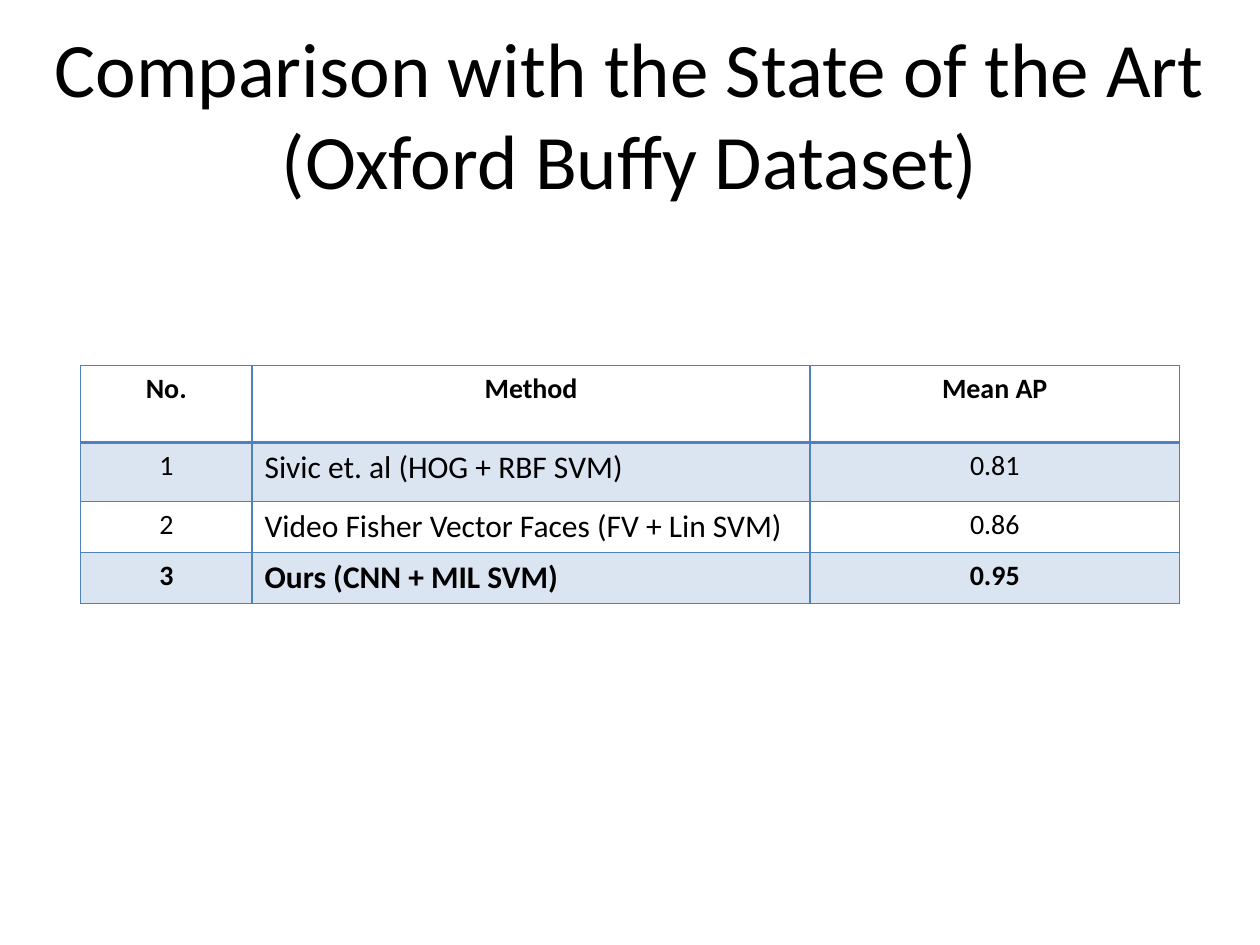
import lxml.etree
import pptx
import pptx.dml.color
import pptx.enum.text
import pptx.oxml.ns
import pptx.util

Inches = pptx.util.Inches
RGBColor = pptx.dml.color.RGBColor
ALIGN = pptx.enum.text.PP_ALIGN
ANCHOR = pptx.enum.text.MSO_ANCHOR
qn = pptx.oxml.ns.qn

BLACK = RGBColor(0x00, 0x00, 0x00)
BLUE = RGBColor(0x4F, 0x81, 0xBD)
FONT = "Calibri"

COLUMNS = [1.36, 4.43, 2.93]
ROW_HEIGHTS = [0.61, 0.47, 0.4, 0.4]
ROWS = [
    ["No.", "Method", "Mean AP"],
    ["1", "Sivic et. al (HOG + RBF SVM)", "0.81"],
    ["2", "Video Fisher Vector Faces (FV + Lin SVM)", "0.86"],
    ["3", "Ours (CNN + MIL SVM)", "0.95"],
]


def write_text(tf, text, size=16, bold=False, align=ALIGN.CENTER, color=BLACK):
    """Write one formatted paragraph, with line breaks at newlines."""
    p = tf.paragraphs[0]
    p.alignment = align
    for i, line in enumerate(text.split("\n")):
        if i:
            p.add_line_break()
        r = p.add_run()
        r.text = line
        r.font.name = FONT
        r.font.size = pptx.util.Pt(size)
        r.font.bold = bold
        r.font.color.rgb = color


def add_border(cell, side, width):
    """Draw a solid blue border on one side of a cell."""
    ln = lxml.etree.SubElement(cell._tc.get_or_add_tcPr(), qn(f"a:ln{side}"))
    ln.set("w", str(pptx.util.Pt(width)))
    fill = lxml.etree.SubElement(ln, qn("a:solidFill"))
    lxml.etree.SubElement(fill, qn("a:srgbClr")).set("val", str(BLUE))


def fill_cell(cell, banded):
    """Tint a banded cell with translucent blue and leave others clear."""
    if not banded:
        cell.fill.background()
        return
    cell.fill.solid()
    cell.fill.fore_color.rgb = BLUE
    color = cell._tc.tcPr.find(qn("a:solidFill")).find(qn("a:srgbClr"))
    lxml.etree.SubElement(color, qn("a:alpha")).set("val", "20000")


def add_title(s, text):
    """Place and fill the title placeholder."""
    sp = s.shapes.title
    sp.left, sp.top = Inches(0), Inches(0.09)
    sp.width, sp.height = Inches(10), Inches(1.61)
    tf = sp.text_frame
    tf.word_wrap = True
    tf.vertical_anchor = ANCHOR.MIDDLE
    write_text(tf, text, size=44)


def add_results_table(s):
    """Add the table that compares the methods."""
    frame = s.shapes.add_table(
        len(ROWS), len(COLUMNS), Inches(0.64), Inches(2.9),
        Inches(sum(COLUMNS)), Inches(sum(ROW_HEIGHTS)))
    table = frame.table
    table.first_row = table.horz_banding = False
    for column, width in zip(table.columns, COLUMNS):
        column.width = Inches(width)
    for i, (values, height) in enumerate(zip(ROWS, ROW_HEIGHTS)):
        table.rows[i].height = Inches(height)
        for j, value in enumerate(values):
            cell = table.cell(i, j)
            method = i > 0 and j == 1
            write_text(cell.text_frame, value, size=18 if method else 16,
                       bold=i in (0, len(ROWS) - 1),
                       align=ALIGN.LEFT if method else ALIGN.CENTER)
            widths = {"L": 1, "R": 1, "T": 2 if i == 1 else 1,
                      "B": 2 if i == 0 else 1}
            for side, width in widths.items():
                add_border(cell, side, width)
            fill_cell(cell, banded=i % 2 == 1)


def main():
    """Build and save the slide."""
    prs = pptx.Presentation()
    prs.slide_width, prs.slide_height = Inches(10), Inches(7.5)
    s = prs.slides.add_slide(prs.slide_layouts[5])
    add_title(s, "Comparison with the State of the Art\n(Oxford Buffy Dataset)")
    add_results_table(s)
    prs.save("out.pptx")


if __name__ == "__main__":
    main()
